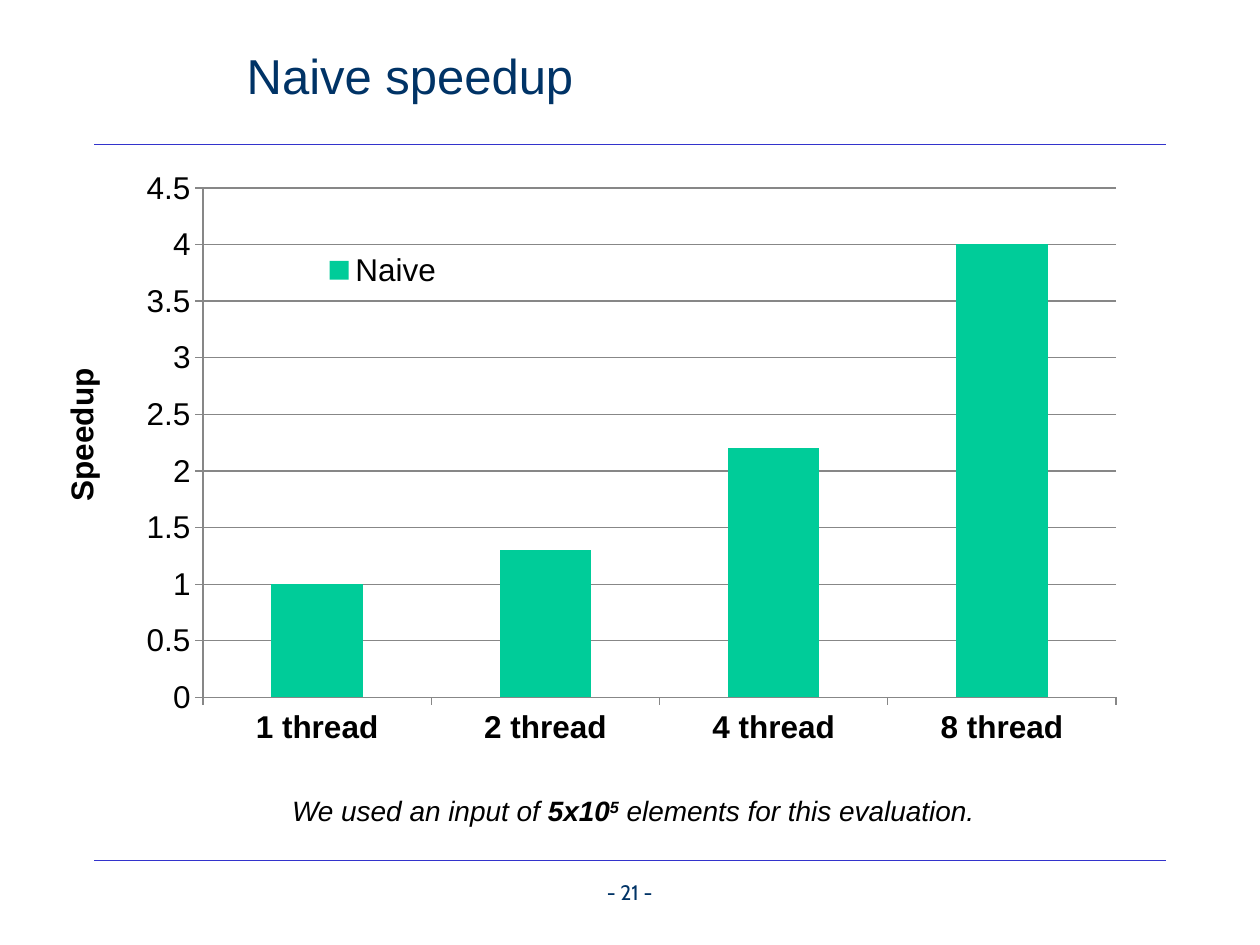
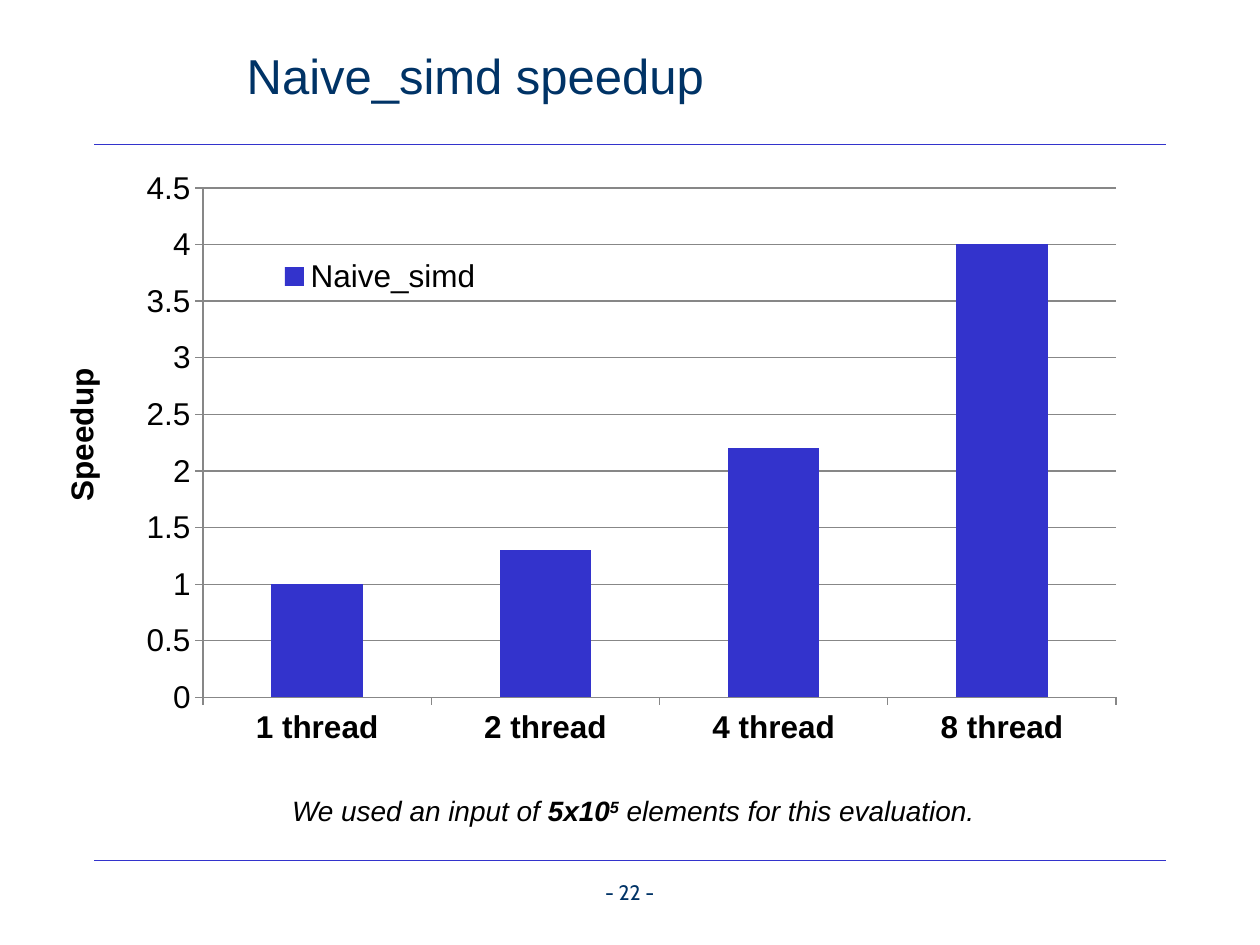
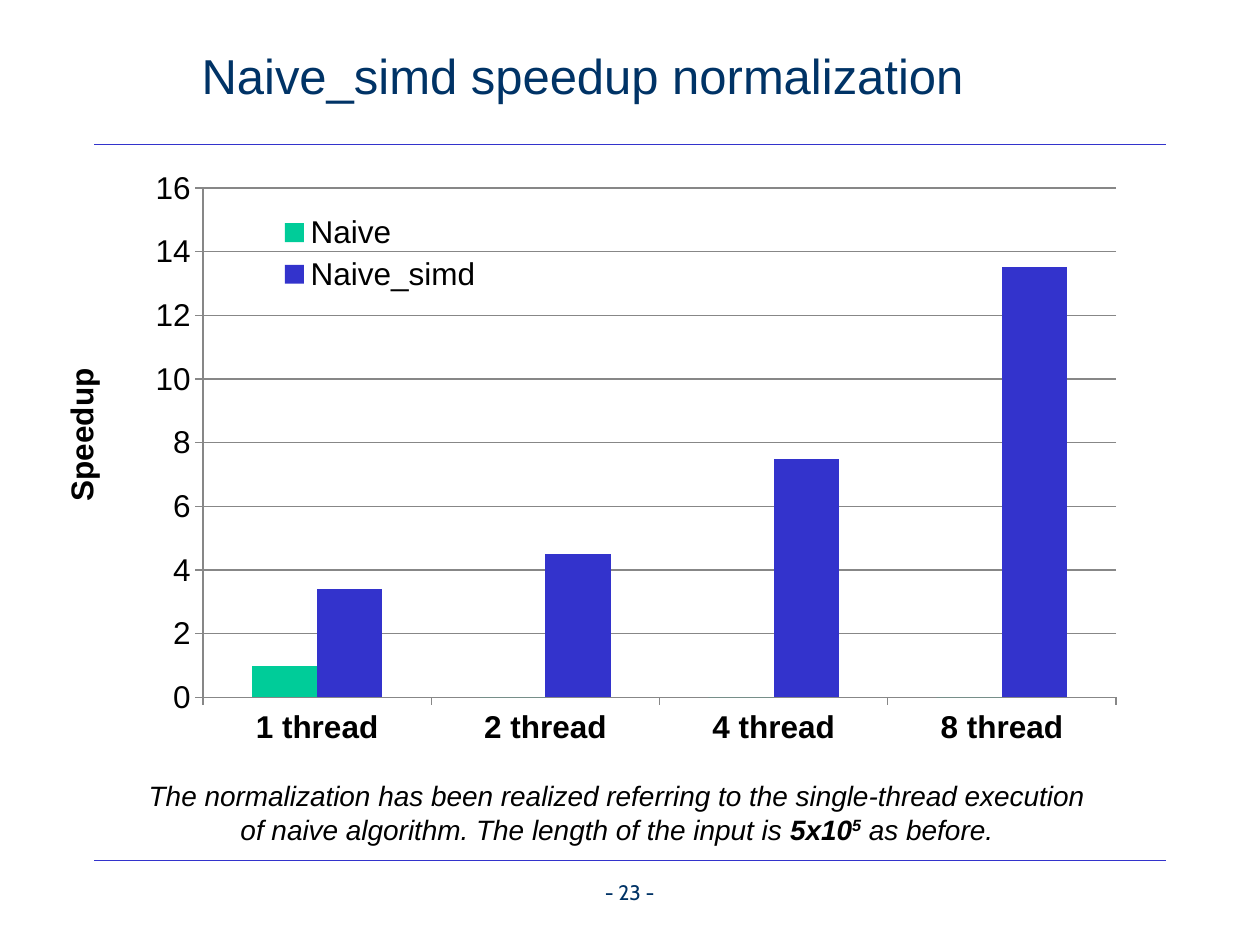
from lxml.etree import SubElement
from pptx import Presentation
from pptx.chart.data import CategoryChartData
from pptx.dml.color import RGBColor
from pptx.enum.chart import XL_CHART_TYPE, XL_LEGEND_POSITION, XL_TICK_MARK
from pptx.enum.shapes import MSO_CONNECTOR
from pptx.enum.text import MSO_ANCHOR, MSO_AUTO_SIZE, PP_ALIGN
from pptx.oxml import parse_xml
from pptx.oxml.ns import nsdecls, qn
from pptx.util import Cm, Pt

COLORS = {
    "heading": "003366",
    "rule": "3333CC",
    "text": "000000",
    "grid": "878787",
    "Naive": "00CC99",
    "Naive_simd": "3333CC",
}

THREADS = ["1 thread", "2 thread", "4 thread", "8 thread"]
FIRST_PAGE = 21
INPUT_NOTE = ("We used an input of ", " elements for this evaluation.")
NORMALIZATION_NOTE = (
    "The normalization has been realized referring to the single-thread "
    "execution of naive algorithm. The length of the input is ",
    " as before.",
)
SHORT_TITLE_BOX = (4.72, 0.33, 15.77, 2.34)
LONG_TITLE_BOX = (3.81, 0.33, 16.69, 2.34)
SHORT_NOTE_BOX = (5.64, 15.88, 14.86, 0.94)
LONG_NOTE_BOX = (2.49, 15.57, 19.89, 1.63)

SLIDES = [
    {
        "title": "Naive speedup",
        "title_box": SHORT_TITLE_BOX,
        "speedups": {"Naive": [1, 1.3, 2.2, 4]},
        "scale": {"maximum_scale": 4.5, "major_unit": 0.5},
        "legend_at": (0.21, 0.12),
        "note": INPUT_NOTE,
        "note_box": SHORT_NOTE_BOX,
        "note_align": PP_ALIGN.LEFT,
    },
    {
        "title": "Naive_simd speedup",
        "title_box": SHORT_TITLE_BOX,
        "speedups": {"Naive_simd": [1, 1.3, 2.2, 4]},
        "scale": {"maximum_scale": 4.5, "major_unit": 0.5},
        "legend_at": (0.17, 0.13),
        "note": INPUT_NOTE,
        "note_box": SHORT_NOTE_BOX,
        "note_align": PP_ALIGN.LEFT,
    },
    {
        "title": "Naive_simd speedup normalization",
        "title_box": LONG_TITLE_BOX,
        "speedups": {"Naive": [1, 0, 0, 0], "Naive_simd": [3.4, 4.5, 7.5, 13.5]},
        "scale": {"maximum_scale": 16, "major_unit": 2},
        "legend_at": (0.17, 0.06),
        "note": NORMALIZATION_NOTE,
        "note_box": LONG_NOTE_BOX,
        "note_align": PP_ALIGN.CENTER,
    },
]

RULE_LEFT, RULE_RIGHT = 1.9, 23.5
RULE_HEIGHTS = [17.35, 2.92]
CHART_BOX = (1.7, 3.43, 22.56, 12.67)
PLOT_AREA = {"x": 0.106, "y": 0.027, "w": 0.816, "h": 0.812}
AXIS_NAME_BOX = (-0.79, 7.42, 4.85, 1.02)
PAGE_BOX = (11.35, 17.6, 2.69, 0.64)

TITLE_FONT = {"name": "Arial", "size": Pt(28), "bold": False}
PAGE_FONT = {"name": "Cabin", "size": Pt(12)}
CHART_FONT = {"name": "Arial", "size": Pt(18), "bold": False}
AXIS_NAME_FONT = {"name": "Arial", "size": Pt(18), "bold": True}
NOTE_FONT = {"name": "Arial", "size": Pt(16), "italic": True}
AMOUNT_FONT = {**NOTE_FONT, "bold": True}


def assign(target, values):
    for attribute, value in values.items():
        setattr(target, attribute, value)


def place(part, box):
    assign(part, dict(zip(("left", "top", "width", "height"), map(Cm, box))))


def style(font, values, color):
    assign(font, values)
    font.color.rgb = RGBColor.from_string(COLORS[color])


def stroke(line, color):
    line.color.rgb = RGBColor.from_string(COLORS[color])
    line.width = Pt(0.75)


def add_words(paragraph, words, font, color):
    run = paragraph.add_run()
    run.text = words
    style(run.font, font, color)
    return run


def add_box(slide, box, align=PP_ALIGN.LEFT):
    label = slide.shapes.add_textbox(*map(Cm, box))
    label.text_frame.word_wrap = True
    paragraph = label.text_frame.paragraphs[0]
    paragraph.alignment = align
    return label, paragraph


def add_rules(layout, slide):
    for number, height in enumerate(RULE_HEIGHTS, 101):
        rule = slide.shapes.add_connector(
            MSO_CONNECTOR.STRAIGHT, Cm(RULE_LEFT), Cm(height), Cm(RULE_RIGHT), Cm(height)
        )
        stroke(rule.line, "rule")
        SubElement(rule.element.spPr, qn("a:effectLst"))
        rule.element.nvCxnSpPr.cNvPr.id = number
        layout.shapes.element.append(rule.element)


def manual_layout(fractions, inner=False):
    target = '<c:layoutTarget val="inner"/>' if inner else ""
    modes = "".join(f'<c:{axis}Mode val="edge"/>' for axis in "xy")
    values = "".join(f'<c:{key} val="{value}"/>' for key, value in fractions.items())
    return parse_xml(
        f'<c:layout {nsdecls("c")}><c:manualLayout>{target}{modes}{values}'
        "</c:manualLayout></c:layout>"
    )


def add_title(slide, content):
    title = slide.shapes.title
    place(title, content["title_box"])
    assign(
        title.text_frame,
        {
            "auto_size": MSO_AUTO_SIZE.NONE,
            "vertical_anchor": MSO_ANCHOR.MIDDLE,
            "word_wrap": True,
        },
    )
    paragraph = title.text_frame.paragraphs[0]
    paragraph.alignment = PP_ALIGN.LEFT
    add_words(paragraph, content["title"], TITLE_FONT, "heading")


def add_speedup_chart(slide, content):
    data = CategoryChartData()
    data.categories = THREADS
    for variant, speedups in content["speedups"].items():
        data.add_series(variant, speedups)
    chart = slide.shapes.add_chart(
        XL_CHART_TYPE.COLUMN_CLUSTERED, *map(Cm, CHART_BOX), data
    ).chart
    assign(chart, {"has_title": False, "has_legend": True})
    style(chart.font, CHART_FONT, "text")

    columns = chart.plots[0]
    assign(columns, {"gap_width": 150, "overlap": 0, "vary_by_categories": False})
    for series in columns.series:
        series.format.fill.solid()
        series.format.fill.fore_color.rgb = RGBColor.from_string(COLORS[series.name])

    assign(chart.value_axis, {"minimum_scale": 0, "has_major_gridlines": True, **content["scale"]})
    stroke(chart.value_axis.major_gridlines.format.line, "grid")
    for axis, bold in ((chart.category_axis, True), (chart.value_axis, False)):
        axis.major_tick_mark = XL_TICK_MARK.OUTSIDE
        stroke(axis.format.line, "grid")
        style(axis.tick_labels.font, {**CHART_FONT, "bold": bold}, "text")

    legend = chart.legend
    assign(legend, {"position": XL_LEGEND_POSITION.RIGHT, "include_in_layout": False})
    style(legend.font, CHART_FONT, "text")
    plot_area = chart.element.chart.plotArea
    for part, layout, index in (
        (plot_area, manual_layout(PLOT_AREA, inner=True), 0),
        (legend.element if hasattr(legend, "element") else legend._element,
         manual_layout(dict(zip("xy", content["legend_at"]))), 1),
    ):
        for automatic in part.findall(qn("c:layout")):
            part.remove(automatic)
        part.insert(index, layout)


def add_axis_name(slide):
    label, paragraph = add_box(slide, AXIS_NAME_BOX)
    label.rotation = 270
    add_words(paragraph, "Speedup", AXIS_NAME_FONT, "text")


def add_note(slide, content):
    before, after = content["note"]
    paragraph = add_box(slide, content["note_box"], content["note_align"])[1]
    add_words(paragraph, before, NOTE_FONT, "text")
    add_words(paragraph, "5x10", AMOUNT_FONT, "text")
    exponent = add_words(paragraph, "5", AMOUNT_FONT, "text")
    exponent.font._element.set("baseline", "30000")
    add_words(paragraph, after, NOTE_FONT, "text")


def add_page_number(slide, page):
    paragraph = add_box(slide, PAGE_BOX, PP_ALIGN.CENTER)[1]
    add_words(paragraph, f"- {page} -", PAGE_FONT, "heading")


def main():
    deck = Presentation()
    assign(deck, {"slide_width": Cm(25.4), "slide_height": Cm(19.05)})
    title_only = deck.slide_layouts[5]
    for page, content in enumerate(SLIDES, FIRST_PAGE):
        slide = deck.slides.add_slide(title_only)
        if page == FIRST_PAGE:
            add_rules(title_only, slide)
        add_title(slide, content)
        add_page_number(slide, page)
        add_speedup_chart(slide, content)
        add_axis_name(slide)
        add_note(slide, content)
    deck.save("out.pptx")


if __name__ == "__main__":
    main()
